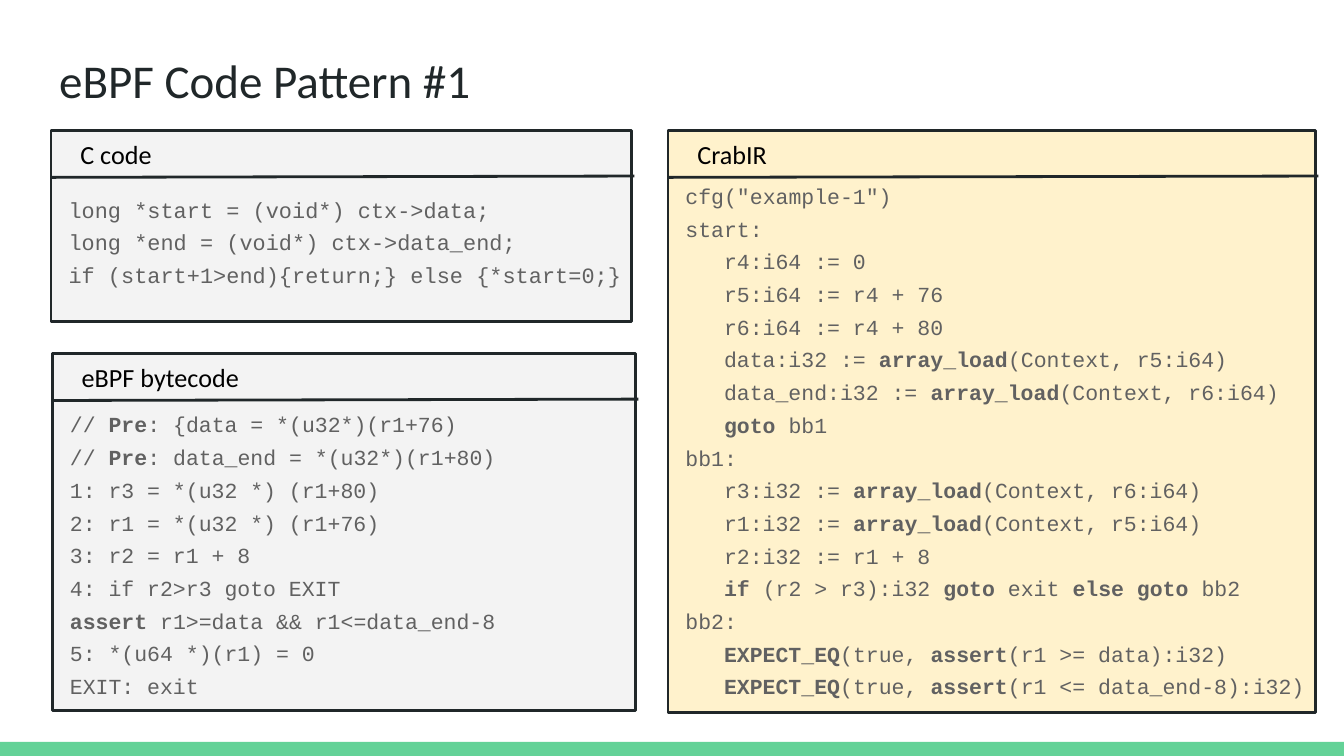
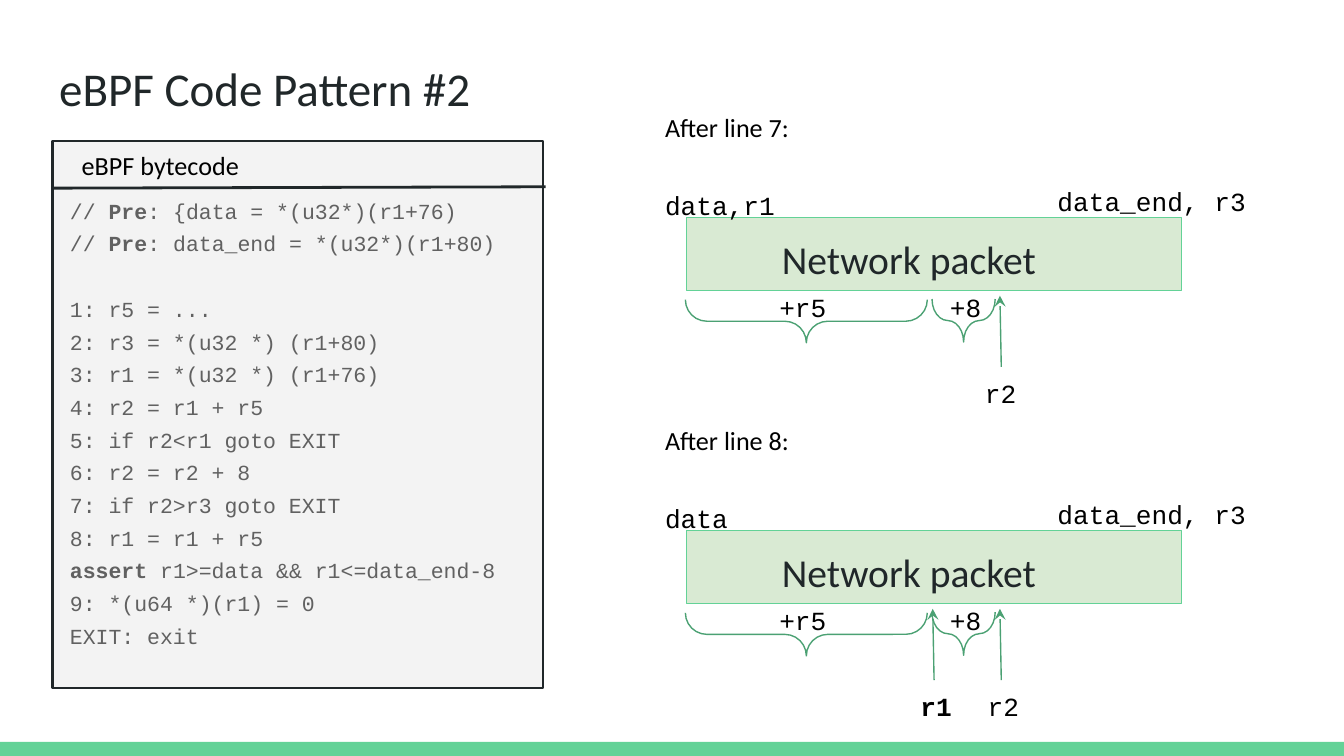
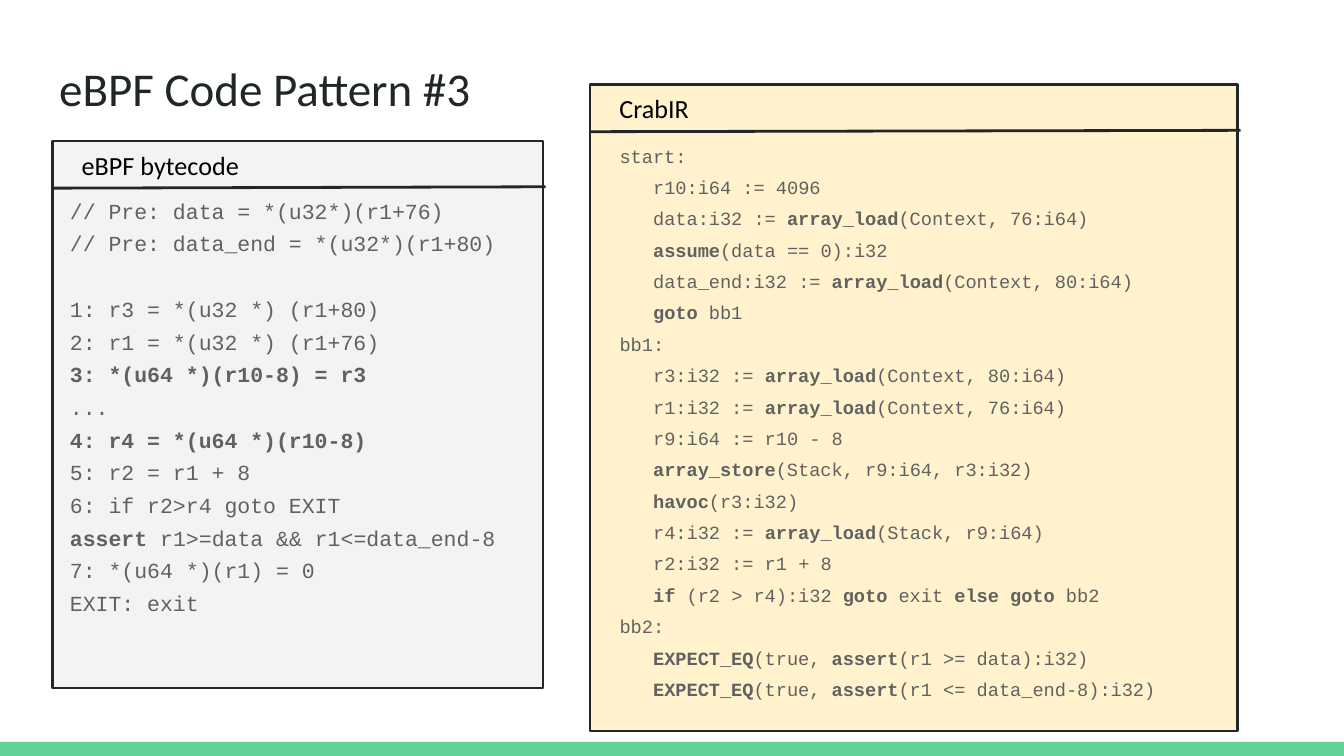
from lxml.etree import SubElement
from pptx import Presentation
from pptx.dml.color import RGBColor
from pptx.enum.shapes import MSO_CONNECTOR as CONNECTOR, MSO_SHAPE as SHAPE
from pptx.enum.text import MSO_ANCHOR as ANCHOR, MSO_AUTO_SIZE as AUTO_SIZE, PP_ALIGN as ALIGN
from pptx.oxml.ns import qn
from pptx.util import Inches, Pt

COLORS = {
    "band": "63D297",
    "ink": "202729",
    "code": "616161",
    "label": "000000",
    "gray": "F3F3F3",
    "cream": "FFF2CC",
    "packet": "D9EAD3",
    "marker": "4BA173",
}
SANS, MONO = "Calibri", "Courier New"
COMPARISON_LAYOUT = 4


def write_text(shape, box, text, size=14, font=SANS, color="label", bold=False,
               line_spacing=1.0, gap=0):
    """Place a shape and fill it line by line; backticks enclose bold text.

    Leading spaces become a left indent and an empty line becomes extra space.
    """
    shape.left, shape.top, shape.width, shape.height = map(Inches, box)
    frame = shape.text_frame
    frame.word_wrap = True
    frame.auto_size = AUTO_SIZE.NONE
    frame.vertical_anchor = ANCHOR.TOP
    frame.margin_left = frame.margin_right = Inches(0.1)
    frame.margin_top = frame.margin_bottom = Inches(0.1)
    paragraph, space = frame.paragraphs[0], 0
    for number, line in enumerate(text.strip().splitlines()):
        if not line:
            space += 1.46 * gap
            continue
        if number:
            paragraph = frame.add_paragraph()
            space += gap
        paragraph.alignment = ALIGN.LEFT
        paragraph.line_spacing = line_spacing
        paragraph.space_before = Pt(space)
        space = 0
        content = line.lstrip()
        properties = paragraph._p.get_or_add_pPr()
        indent = Pt(0.6 * size * (len(line) - len(content)))
        properties.set("marL", str(int(indent)))
        properties.set("indent", "0")
        SubElement(properties, qn("a:buNone"))
        for position, part in enumerate(content.split("`")):
            if part:
                run = paragraph.add_run()
                run.text = part
                run.font.size = Pt(size)
                run.font.name = font
                run.font.bold = bold or position % 2 == 1
                run.font.color.rgb = RGBColor.from_string(COLORS[color])


def draw(slide, kind, box, fill=None, line=None, weight=0.75, arrow=False):
    """Add a preset shape, or a line from (x, y) to (x, y) if kind is a connector."""
    lengths = map(Inches, box)
    if isinstance(kind, CONNECTOR):
        shape = slide.shapes.add_connector(kind, *lengths)
        SubElement(shape._element.spPr, qn("a:effectLst"))
    else:
        shape = slide.shapes.add_shape(kind, *lengths)
        shape.shadow.inherit = False
        if fill:
            shape.fill.solid()
            shape.fill.fore_color.rgb = RGBColor.from_string(COLORS[fill])
        else:
            shape.fill.background()
    if line:
        shape.line.color.rgb = RGBColor.from_string(COLORS[line])
        shape.line.width = Pt(weight)
    else:
        shape.line.fill.background()
    if arrow:
        SubElement(shape.line._get_or_add_ln(), qn("a:tailEnd"), type="stealth")
    return shape


C_CODE = """
long *start = (void*) ctx->data;
long *end = (void*) ctx->data_end;
if (start+1>end){return;} else {*start=0;}
"""

BYTECODE_1 = """
// `Pre`: {data = *(u32*)(r1+76)
// `Pre`: data_end = *(u32*)(r1+80)
1: r3 = *(u32 *) (r1+80)
2: r1 = *(u32 *) (r1+76)
3: r2 = r1 + 8
4: if r2>r3 goto EXIT
`assert` r1>=data && r1<=data_end-8
5: *(u64 *)(r1) = 0
EXIT: exit
"""

CRAB_1 = """
cfg("example-1")
start:
   r4:i64 := 0
   r5:i64 := r4 + 76
   r6:i64 := r4 + 80
   data:i32 := `array_load`(Context, r5:i64)
   data_end:i32 := `array_load`(Context, r6:i64)
   `goto` bb1
bb1:
   r3:i32 := `array_load`(Context, r6:i64)
   r1:i32 := `array_load`(Context, r5:i64)
   r2:i32 := r1 + 8
   `if` (r2 > r3):i32 `goto` exit `else goto` bb2
bb2:
   `EXPECT_EQ`(true, `assert`(r1 >= data):i32)
   `EXPECT_EQ`(true, `assert`(r1 <= data_end-8):i32)
"""

BYTECODE_2 = """
// `Pre`: {data = *(u32*)(r1+76)
// `Pre`: data_end = *(u32*)(r1+80)

1: r5 = ...
2: r3 = *(u32 *) (r1+80)
3: r1 = *(u32 *) (r1+76)
4: r2 = r1 + r5
5: if r2<r1 goto EXIT
6: r2 = r2 + 8
7: if r2>r3 goto EXIT
8: r1 = r1 + r5
`assert` r1>=data && r1<=data_end-8
9: *(u64 *)(r1) = 0
EXIT: exit
"""

BYTECODE_3 = """
// Pre: data = *(u32*)(r1+76)
// Pre: data_end = *(u32*)(r1+80)

1: r3 = *(u32 *) (r1+80)
2: r1 = *(u32 *) (r1+76)
`3: *(u64 *)(r10-8) = r3`
...
`4: r4 = *(u64 *)(r10-8)`
5: r2 = r1 + 8
6: if r2>r4 goto EXIT
`assert `r1>=data && r1<=data_end-8
7: *(u64 *)(r1) = 0
EXIT: exit
"""

CRAB_3 = """
start:
   r10:i64 := 4096
   data:i32 := `array_load`(Context, 76:i64)
   `assume`(data == 0):i32
   data_end:i32 := `array_load`(Context, 80:i64)
   `goto` bb1
bb1:
   r3:i32 := `array_load`(Context, 80:i64)
   r1:i32 := `array_load`(Context, 76:i64)
   r9:i64 := r10 - 8
   `array_store`(Stack, r9:i64, r3:i32)
   `havoc`(r3:i32)
   r4:i32 := `array_load`(Stack, r9:i64)
   r2:i32 := r1 + 8
   `if` (r2 > r4):i32 `goto` exit `else goto` bb2
bb2:
   `EXPECT_EQ`(true, `assert`(r1 >= data):i32)
   `EXPECT_EQ`(true, `assert`(r1 <= data_end-8):i32)
"""

# Title box, then panels: heading, fill, panel box, code box, code size, code
TALL_PANEL, TALL_CODE = (0.39, 1.05, 3.65, 4.07), (0.42, 1.47, 3.65, 3.62)
PATTERNS = [
    ((0.34, 0.28, 3.76, 0.63), [
        ("CrabIR", "cream", (4.97, 0.97, 4.82, 4.33), (5, 1.36, 4.85, 4.07), 11.5, CRAB_1),
        ("C code", "gray", (0.38, 0.97, 4.32, 1.42), (0.41, 1.46, 4.32, 0.8), 11.7, C_CODE),
        ("eBPF bytecode", "gray", (0.39, 2.63, 4.34, 2.66), (0.42, 3.06, 4.19, 2.24), 11.5,
         BYTECODE_1),
    ]),
    ((0.34, 0.34, 4.05, 0.63), [
        ("eBPF bytecode", "gray", TALL_PANEL, TALL_CODE, 11.5, BYTECODE_2),
    ]),
    ((0.34, 0.34, 4.05, 0.63), [
        ("eBPF bytecode", "gray", TALL_PANEL, TALL_CODE, 11.5, BYTECODE_3),
        ("CrabIR", "cream", (4.39, 0.63, 4.82, 4.81), (4.51, 1.06, 4.85, 4.39), 10, CRAB_3),
    ]),
]

presentation = Presentation()
presentation.slide_width, presentation.slide_height = Inches(10), Inches(10 * 9 / 16)
layout = presentation.slide_layouts[COMPARISON_LAYOUT]
slides = [presentation.slides.add_slide(layout) for _ in PATTERNS]

# The bottom band belongs to the master, so every slide shows it
band = draw(slides[0], SHAPE.RECTANGLE, (0, 5.52, 10, 0.11), fill="band")
presentation.slide_master.shapes._spTree.append(band._element)

# Titles and code panels
for number, (slide, (title_box, panels)) in enumerate(zip(slides, PATTERNS), start=1):
    title, *bodies = slide.placeholders
    write_text(title, title_box, f"eBPF Code Pattern #{number}", size=25.2, color="ink")
    for heading, fill, panel_box, code_box, size, code in panels:
        left, top, width, _ = panel_box
        draw(slide, SHAPE.RECTANGLE, panel_box, fill=fill, line="ink", weight=1.5)
        body = bodies.pop(0)
        slide.shapes._spTree.append(body._element)
        write_text(body, code_box, code, size=size, font=MONO, color="code",
                   line_spacing=0.4, gap=12)
        divider = (left, top + 0.35, left + width + 0.02, top + 0.34)
        draw(slide, CONNECTOR.STRAIGHT, divider, line="ink", weight=1.5)
        write_text(slide.shapes.add_textbox(0, 0, 0, 0),
                   (left + 0.12, top - 0.04, 1.63, 0.44), heading)
    for unused in bodies:
        unused._element.getparent().remove(unused._element)

# Packet diagrams: caption, start label, pointers (name, label left, arrow x, bold)
DIAGRAMS = [
    ("After line 7:", "data,r1", [("r2", 7.23, 7.44, False)]),
    ("After line 8:", "data", [("r2", 7.25, 7.44, False), ("r1", 6.75, 6.94, True)]),
]
slide = slides[1]
for row, (caption, start_label, pointers) in enumerate(DIAGRAMS):
    top = 0.73 + 2.33 * row
    draw(slide, SHAPE.RECTANGLE, (5.11, top + 0.89, 3.68, 0.54), fill="packet", line="band")
    write_text(slide.shapes.add_textbox(0, 0, 0, 0), (5.72, top + 0.92, 2.7, 0.63),
               "Network packet", size=21.2, color="ink")
    write_text(slide.shapes.add_textbox(0, 0, 0, 0), (4.85, top, 1.27, 0.44), caption)

    for brace_box in [(5.84, top + 0.76, 0.32, 1.8), (7.01, top + 1.42, 0.32, 0.47)]:
        brace = draw(slide, SHAPE.LEFT_BRACE, brace_box, line="marker")
        brace.rotation = 270
        brace.adjustments[0] = brace.adjustments[1] = 0.5

    labels = [
        ("data_end, r3", 7.77, 0.55, 1.63, False),
        (start_label, 4.85, 0.58, 1.27, False),
        ("+r5", 5.7, 1.34, 0.67, False),
        ("+8", 6.97, 1.34, 0.47, False),
    ]
    for name, label_left, arrow_x, bold in pointers:
        draw(slide, CONNECTOR.STRAIGHT, (arrow_x + 0.01, top + 2, arrow_x, top + 1.47),
             line="marker", arrow=True)
        labels.append((name, label_left, 1.98, 0.47, bold))
    for text, left, offset, width, bold in labels:
        write_text(slide.shapes.add_textbox(0, 0, 0, 0), (left, top + offset, width, 0.44),
                   text, font=MONO, bold=bold)

presentation.save("out.pptx")
